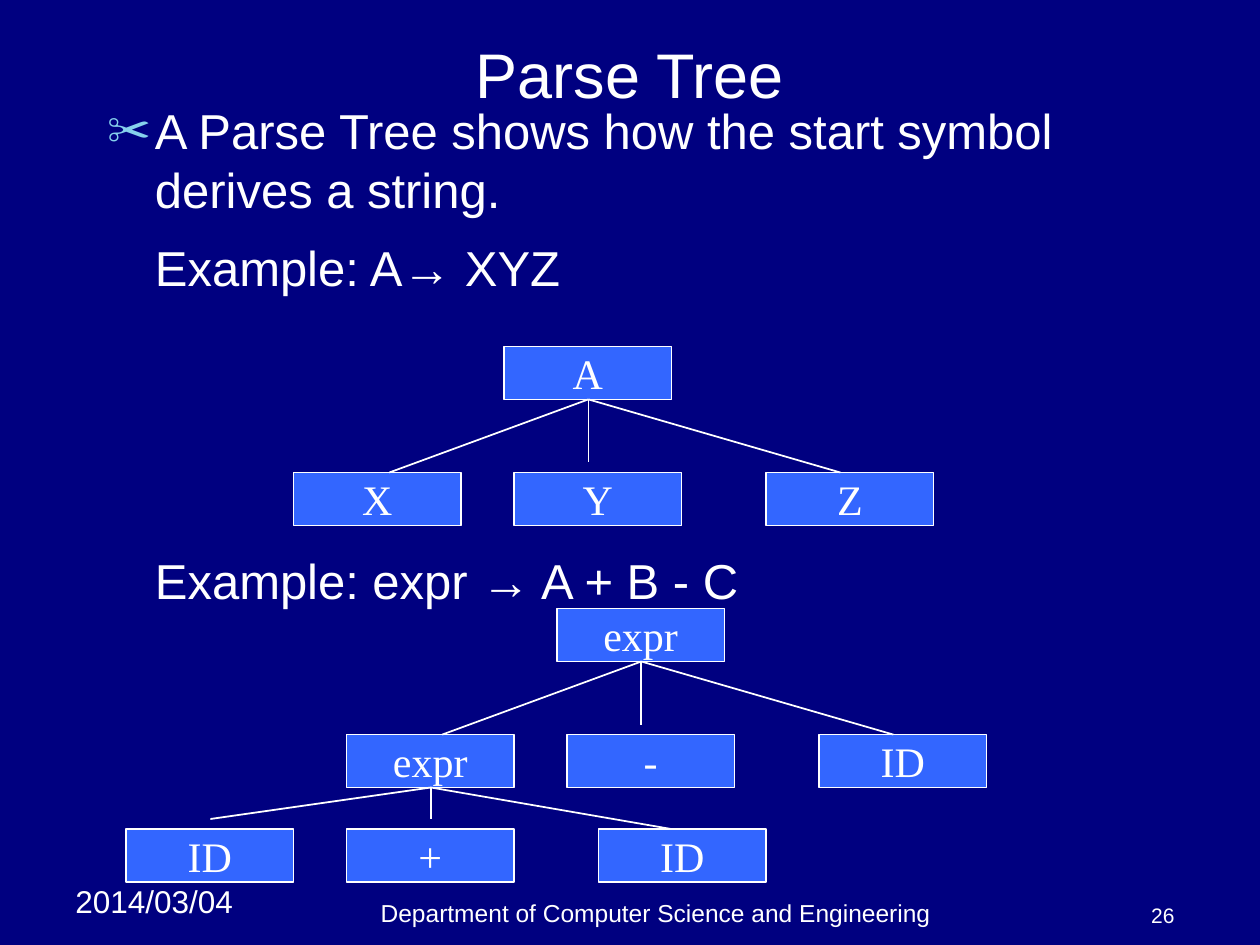
"""Build the Parse Tree slide."""
from dataclasses import dataclass

from lxml import etree
from pptx import Presentation
from pptx import util as u
from pptx.dml.color import RGBColor
from pptx.enum import shapes, text
from pptx.oxml.ns import qn

INCH = u.Inches
ALIGN = text.PP_ALIGN
ANCHOR = text.MSO_ANCHOR


@dataclass(frozen=True)
class Theme:
    background: str = "000080"
    ink: str = "FFFFFF"
    node: str = "3366FF"
    bullet: str = "86D1EC"
    sans: str = "Arial"
    serif: str = "Times New Roman"
    title: int = 36
    body: int = 28
    label: int = 24
    date: int = 18
    footer: int = 14
    number: int = 12


class SlideBuilder:
    def __init__(self, presentation, theme):
        self.theme = theme
        self.slide = presentation.slides.add_slide(presentation.slide_layouts[1])
        fill = self.slide.background.fill
        fill.solid()
        fill.fore_color.rgb = RGBColor.from_string(theme.background)

    def place(self, shape, box):
        for name, value in zip(("left", "top", "width", "height"), box):
            setattr(shape, name, INCH(value))

    def add_words(self, paragraph, words, size, font, **formats):
        for name, value in formats.items():
            setattr(paragraph, name, value)
        run = paragraph.add_run()
        run.text = words
        for name, value in {"size": u.Pt(size), "name": font, "bold": False}.items():
            setattr(run.font, name, value)
        run.font.color.rgb = RGBColor.from_string(self.theme.ink)

    def frame(self, shape, anchor, wrap=True):
        frame = shape.text_frame
        settings = {"vertical_anchor": anchor, "word_wrap": wrap,
                    "auto_size": text.MSO_AUTO_SIZE.NONE,
                    "margin_left": INCH(0.1), "margin_right": INCH(0.1),
                    "margin_top": INCH(0.05), "margin_bottom": INCH(0.05)}
        for name, value in settings.items():
            setattr(frame, name, value)
        return frame

    def title(self, words, box):
        shape = self.slide.shapes.title
        self.place(shape, box)
        paragraph = self.frame(shape, ANCHOR.MIDDLE).paragraphs[0]
        self.add_words(paragraph, words, self.theme.title, self.theme.sans,
                       alignment=ALIGN.CENTER)

    def bullet(self, paragraph, symbol):
        properties = paragraph._p.get_or_add_pPr()
        indent = INCH(0.38)
        properties.set("marL", str(indent))
        properties.set("indent", str(-indent if symbol else 0))
        if not symbol:
            etree.SubElement(properties, qn("a:buNone"))
            return
        colour = etree.SubElement(properties, qn("a:buClr"))
        etree.SubElement(colour, qn("a:srgbClr"), val=self.theme.bullet)
        etree.SubElement(properties, qn("a:buSzPct"), val="90000")
        etree.SubElement(properties, qn("a:buChar"), char=symbol)

    def body(self, items, box):
        shape = self.slide.placeholders[1]
        self.place(shape, box)
        frame = self.frame(shape, ANCHOR.TOP)
        for index, (words, symbol, space) in enumerate(items):
            paragraph = frame.add_paragraph() if index else frame.paragraphs[0]
            self.bullet(paragraph, symbol)
            self.add_words(paragraph, words, self.theme.body, self.theme.sans,
                           space_before=u.Pt(space), alignment=ALIGN.LEFT)

    def caption(self, words, box, size, alignment, anchor):
        shape = self.slide.shapes.add_textbox(*map(INCH, box))
        paragraph = self.frame(shape, anchor).paragraphs[0]
        self.add_words(paragraph, words, size, self.theme.sans, alignment=alignment)

    def node(self, words, left, top):
        shape = self.slide.shapes.add_shape(
            shapes.MSO_SHAPE.RECTANGLE, *map(INCH, (left, top, 1.33, 0.42)))
        shape.shadow.inherit = False
        shape.fill.solid()
        shape.fill.fore_color.rgb = RGBColor.from_string(self.theme.node)
        self.outline(shape)
        paragraph = self.frame(shape, ANCHOR.MIDDLE, wrap=False).paragraphs[0]
        self.add_words(paragraph, words, self.theme.label, self.theme.serif,
                       alignment=ALIGN.CENTER)

    def outline(self, shape):
        shape.line.color.rgb = RGBColor.from_string(self.theme.ink)
        shape.line.width = u.Pt(1)

    def branch(self, start, reach):
        end = [origin + step for origin, step in zip(start, reach)]
        line = self.slide.shapes.add_connector(
            shapes.MSO_CONNECTOR.STRAIGHT, *map(INCH, (*start, *end)))
        self.outline(line)
        etree.SubElement(line._element.spPr, qn("a:effectLst"))

    def children(self, labels, left, top, layout):
        for words, offset in zip(labels, layout["offsets"]):
            self.node(words, left + offset, top + layout["drop"])
        for reach in layout["reaches"]:
            self.branch((left + 0.67, top + 0.42), reach)


WIDE = {"drop": 1, "offsets": (-1.67, 0.08, 2.08),
        "reaches": ((-1.58, 0.58), (0, 0.5), (2, 0.58))}
LOW = {"drop": 0.75, "offsets": (-1.75, 0, 2),
       "reaches": ((-1.75, 0.25), (0, 0.25), (1.91, 0.33))}


def main():
    presentation = Presentation()
    presentation.slide_width, presentation.slide_height = INCH(10), INCH(7.5)
    theme = Theme()
    builder = SlideBuilder(presentation, theme)

    builder.caption("2014/03/04", (0.5, 6.95, 1.58, 0.4), theme.date,
                    ALIGN.LEFT, ANCHOR.TOP)
    builder.caption("Department of Computer Science and Engineering",
                    (1.83, 7.08, 6.75, 0.33), theme.footer,
                    ALIGN.CENTER, ANCHOR.BOTTOM)
    builder.caption("26", (8.75, 7.08, 0.67, 0.33), theme.number,
                    ALIGN.RIGHT, ANCHOR.BOTTOM)
    builder.title("Parse Tree", (0.75, 0.25, 8.5, 0.67))
    builder.body((
        ("A Parse Tree shows how the start symbol derives a string.", "✂", 0),
        ("Example: A→ XYZ", None, 11),
        ("Example: expr → A + B - C", None, 145),
    ), (0.75, 0.75, 8.5, 5.83))

    builder.node("A", 4, 2.75)
    builder.children("XYZ", 4, 2.75, WIDE)
    builder.node("expr", 4.42, 4.83)
    builder.children(("expr", "-", "ID"), 4.42, 4.83, WIDE)
    builder.children(("ID", "+", "ID"), 2.75, 5.83, LOW)

    presentation.save("out.pptx")


if __name__ == "__main__":
    main()
